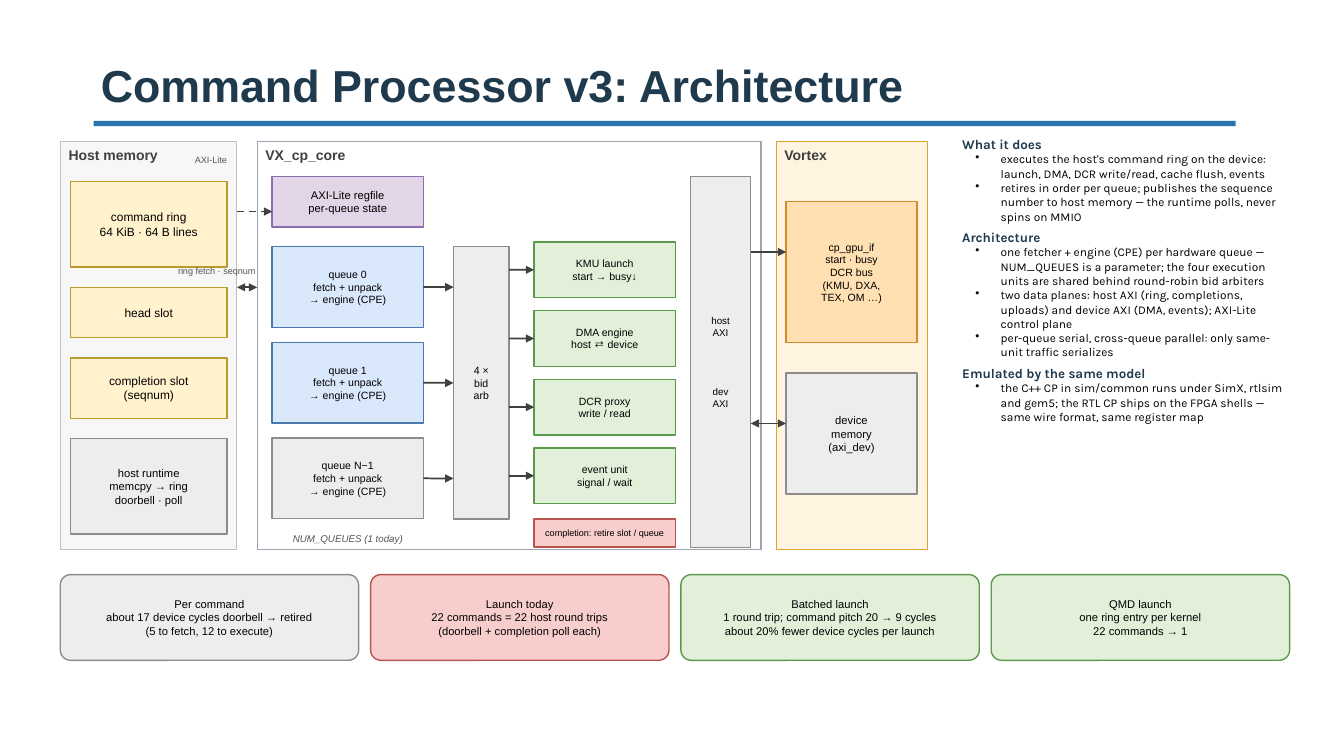
from dataclasses import dataclass

from pptx import Presentation
from pptx.dml.color import RGBColor
from pptx.enum.dml import MSO_LINE_DASH_STYLE as Dash
from pptx.enum.shapes import MSO_CONNECTOR as Link, MSO_SHAPE as Kind
from pptx.enum.text import MSO_ANCHOR as Anchor, PP_ALIGN as Align
from pptx.oxml.ns import qn
from pptx.oxml.xmlchemy import OxmlElement
from pptx.shapes.autoshape import Shape
from pptx.shapes.connector import Connector
from pptx.text.text import TextFrame
from pptx.util import Cm, Pt

TOP, LEFT, BOTTOM, RIGHT = range(4)
NAVY, INK, MUTED = "1F394D", "404040", "555555"


@dataclass(frozen=True)
class Style:
    fill: str
    line: str
    weight: float = 1


YELLOW = Style("FFF2CC", "B89B2A")
GREY = Style("EDEDED", "8C8C8C")
PURPLE = Style("E1D5E7", "8E6DAF")
BLUE = Style("DAE8FC", "4A78B0")
GREEN = Style("E2F0D9", "5B9A4B")
RED = Style("F8CECC", "B85450")
ORANGE = Style("FFE0B3", "D18B2C")


@dataclass(frozen=True)
class Area:
    """A rectangle on the page, in centimetres."""
    left: float
    top: float
    width: float
    height: float

    def lengths(self) -> tuple[Cm, Cm, Cm, Cm]:
        return Cm(self.left), Cm(self.top), Cm(self.width), Cm(self.height)


@dataclass(frozen=True)
class Panel:
    caption: str
    left: float
    width: float
    style: Style


@dataclass(frozen=True)
class Block:
    text: str
    area: Area
    style: Style
    size: float = 7.5


@dataclass(frozen=True)
class Section:
    heading: str
    points: tuple[str, ...]


PANELS = (
    Panel("Host memory", 1.52, 4.45, Style("F7F7F7", "BFBFBF", 0.75)),
    Panel("VX_cp_core", 6.48, 12.7, Style("FFFFFF", "9AA5B1", 0.75)),
    Panel("Vortex", 19.56, 3.81, Style("FFF4E0", "E0A030", 0.75)),
)
BLOCKS = (
    Block("command ring\n64 KiB · 64 B lines", Area(1.78, 4.57, 3.94, 2.16), YELLOW, 8.5),
    Block("head slot", Area(1.78, 7.24, 3.94, 1.27), YELLOW, 8.5),
    Block("completion slot\n(seqnum)", Area(1.78, 9.02, 3.94, 1.52), YELLOW, 8.5),
    Block("host runtime\nmemcpy → ring\ndoorbell · poll", Area(1.78, 11.05, 3.94, 2.41), GREY, 8),
    Block("AXI-Lite regfile\nper-queue state", Area(6.86, 4.45, 3.81, 1.27), PURPLE, 8),
    Block("completion: retire slot / queue", Area(13.46, 13.08, 3.56, 0.71), RED, 6.5),
    Block("cp_gpu_if\nstart · busy\nDCR bus\n(KMU, DXA,\nTEX, OM …)", Area(19.81, 5.08, 3.3, 3.56), ORANGE),
    Block("device\nmemory\n(axi_dev)", Area(19.81, 9.4, 3.3, 3.05), GREY, 8),
)
ARBITER = Block("4 ×\nbid\narb", Area(11.43, 6.22, 1.4, 6.86), GREY)
AXI_BAR = Block("host\nAXI\ndev\nAXI", Area(17.4, 4.45, 1.52, 9.35), GREY, 7)
QUEUES = (("queue 0", BLUE), ("queue 1", BLUE), ("queue N−1", GREY))
UNITS = ("KMU launch\nstart → busy↓", "DMA engine\nhost ⇄ device",
         "DCR proxy\nwrite / read", "event unit\nsignal / wait")
CARDS = (
    ("Per command\nabout 17 device cycles doorbell → retired\n(5 to fetch, 12 to execute)", GREY),
    ("Launch today\n22 commands = 22 host round trips\n(doorbell + completion poll each)", RED),
    ("Batched launch\n1 round trip; command pitch 20 → 9 cycles\nabout 20% fewer device cycles per launch", GREEN),
    ("QMD launch\none ring entry per kernel\n22 commands → 1", GREEN),
)
SECTIONS = (
    Section("What it does", (
        "executes the host's command ring on the device: launch, DMA, DCR write/read, cache flush, events",
        "retires in order per queue; publishes the sequence number to host memory — the runtime polls, never spins on MMIO",
    )),
    Section("Architecture", (
        "one fetcher + engine (CPE) per hardware queue — NUM_QUEUES is a parameter; the four execution units are shared behind round-robin bid arbiters",
        "two data planes: host AXI (ring, completions, uploads) and device AXI (DMA, events); AXI-Lite control plane",
        "per-queue serial, cross-queue parallel: only same-unit traffic serializes",
    )),
    Section("Emulated by the same model", (
        "the C++ CP in sim/common runs under SimX, rtlsim and gem5; the RTL CP ships on the FPGA shells — same wire format, same register map",
    )),
)

deck = Presentation()
deck.slide_width, deck.slide_height = Cm(33.87), Cm(19.05)
page = deck.slides.add_slide(deck.slide_layouts[6])


def color(value: str) -> RGBColor:
    return RGBColor.from_string(value)


def set_frame(frame: TextFrame, side: float, end: float, anchor: Anchor) -> None:
    frame.word_wrap = True
    frame.vertical_anchor = anchor
    frame.margin_left = frame.margin_right = Cm(side)
    frame.margin_top = frame.margin_bottom = Cm(end)


def write(frame: TextFrame, text: str, *, size: float, ink: str = "000000", bold: bool = False,
          italic: bool = False, align: Align = Align.LEFT) -> None:
    """Write one paragraph for each line of the text."""
    for index, line in enumerate(text.split("\n")):
        para = frame.add_paragraph() if index else frame.paragraphs[0]
        para.alignment = align
        span = para.add_run()
        span.text = line
        font = span.font
        font.name, font.size, font.bold, font.italic = "Arial", Pt(size), bold, italic
        font.color.rgb = color(ink)


def add_label(text: str, area: Area, *, inset: tuple[float, float] = (0.08, 0.08),
              anchor: Anchor = Anchor.TOP, **format) -> None:
    frame = page.shapes.add_textbox(*area.lengths()).text_frame
    set_frame(frame, *inset, anchor)
    write(frame, text, **format)


def add_box(area: Area, style: Style, kind: Kind = Kind.RECTANGLE) -> Shape:
    box = page.shapes.add_shape(kind, *area.lengths())
    box.shadow.inherit = False
    box.fill.solid()
    box.fill.fore_color.rgb = color(style.fill)
    box.line.color.rgb = color(style.line)
    box.line.width = Pt(style.weight)
    return box


def add_block(block: Block, kind: Kind = Kind.RECTANGLE) -> Shape:
    box = add_box(block.area, block.style, kind)
    set_frame(box.text_frame, 0.1, 0.05, Anchor.MIDDLE)
    write(box.text_frame, block.text, size=block.size, align=Align.CENTER)
    return box


def add_arrow(start: float, end: float, height: float, both: bool = False, dashed: bool = False) -> Connector:
    """Draw a level arrow from start to end."""
    arrow = page.shapes.add_connector(Link.STRAIGHT, Cm(start), Cm(height), Cm(end), Cm(height))
    arrow.line.color.rgb = color(INK)
    arrow.line.width = Pt(1.25)
    if dashed:
        arrow.line.dash_style = Dash.DASH
    properties = arrow._element.spPr
    for tag in ("a:headEnd", "a:tailEnd") if both else ("a:tailEnd",):
        tip = OxmlElement(tag)
        tip.set("type", "triangle")
        properties.find(qn("a:ln")).append(tip)
    properties.append(OxmlElement("a:effectLst"))
    return arrow


def add_notes_column(area: Area) -> None:
    frame = page.shapes.add_textbox(*area.lengths()).text_frame
    set_frame(frame, 0.25, 0.13, Anchor.TOP)
    para = frame.paragraphs[0]
    for number, section in enumerate(SECTIONS):
        if number:
            para = frame.add_paragraph()
            para.space_before = Pt(4)
        para.text = section.heading
        para.font.name, para.font.size, para.font.bold = "Karla", Pt(9.5), True
        para.font.color.rgb = color(NAVY)
        for point in section.points:
            para = frame.add_paragraph()
            para.text = point
            para.level = 1
            settings = para._p.get_or_add_pPr()
            settings.set("marL", str(Cm(0.97)))
            settings.set("indent", str(Cm(-0.64)))
            bullet = OxmlElement("a:buChar")
            bullet.set("char", "•")
            settings.append(bullet)
            para.font.name, para.font.size = "Karla", Pt(8.5)
            para.font.color.rgb = color("000000")


rule = add_box(Area(2.36, 3.05, 28.78, 0.13), Style("2774AE", "2774AE"))
rule.line.fill.background()
add_label("Command Processor v3: Architecture", Area(2.29, 0.64, 28.19, 2.29),
          inset=(0.25, 0.13), anchor=Anchor.BOTTOM, size=32, ink=NAVY, bold=True)
add_notes_column(Area(24, 3.3, 8.64, 10.67))

for panel in PANELS:
    add_box(Area(panel.left, 3.56, panel.width, 10.29), panel.style)
    add_label(panel.caption, Area(panel.left + 0.13, 3.61, panel.width - 0.25, 0.64),
              size=10, ink=INK, bold=True)
for block in BLOCKS:
    add_block(block)
arbiter = add_block(ARBITER)
axi_bar = add_block(AXI_BAR)
axi_bar.text_frame.paragraphs[2].space_before = Pt(34)

for row, (name, style) in enumerate(QUEUES):
    area = Area(6.86, 6.22 + 2.41 * row, 3.81, 2.03)
    queue = add_block(Block(f"{name}\nfetch + unpack\n→ engine (CPE)", area, style))
    arrow = add_arrow(10.67, 11.43, area.top + area.height / 2)
    arrow.begin_connect(queue, RIGHT)
    if row == 1:
        arrow.end_connect(arbiter, LEFT)

for row, text in enumerate(UNITS):
    area = Area(13.46, 6.1 + 1.73 * row, 3.56, 1.4)
    unit = add_block(Block(text, area, GREEN))
    add_arrow(12.83, 13.46, area.top + area.height / 2).end_connect(unit, LEFT)

add_arrow(18.92, 19.81, 6.35)
add_arrow(18.92, 19.81, 10.67, both=True)
add_arrow(5.97, 6.86, 5.33, dashed=True)
add_arrow(5.97, 6.48, 7.24, both=True)
add_label("NUM_QUEUES (1 today)", Area(6.86, 13.34, 3.81, 0.51),
          size=7, ink=MUTED, italic=True, align=Align.CENTER)
add_label("AXI-Lite", Area(4.83, 3.81, 2.29, 0.64), size=6.5, ink=MUTED)
add_label("ring fetch · seqnum", Area(3.94, 6.6, 3.05, 0.56), size=6.5, ink=MUTED, align=Align.CENTER)

for column, (text, style) in enumerate(CARDS):
    area = Area(1.52 + 7.82 * column, 14.48, 7.52, 2.16)
    card = add_block(Block(text, area, style, 8), Kind.ROUNDED_RECTANGLE)
    card.adjustments[0] = 0.12

deck.save("out.pptx")
